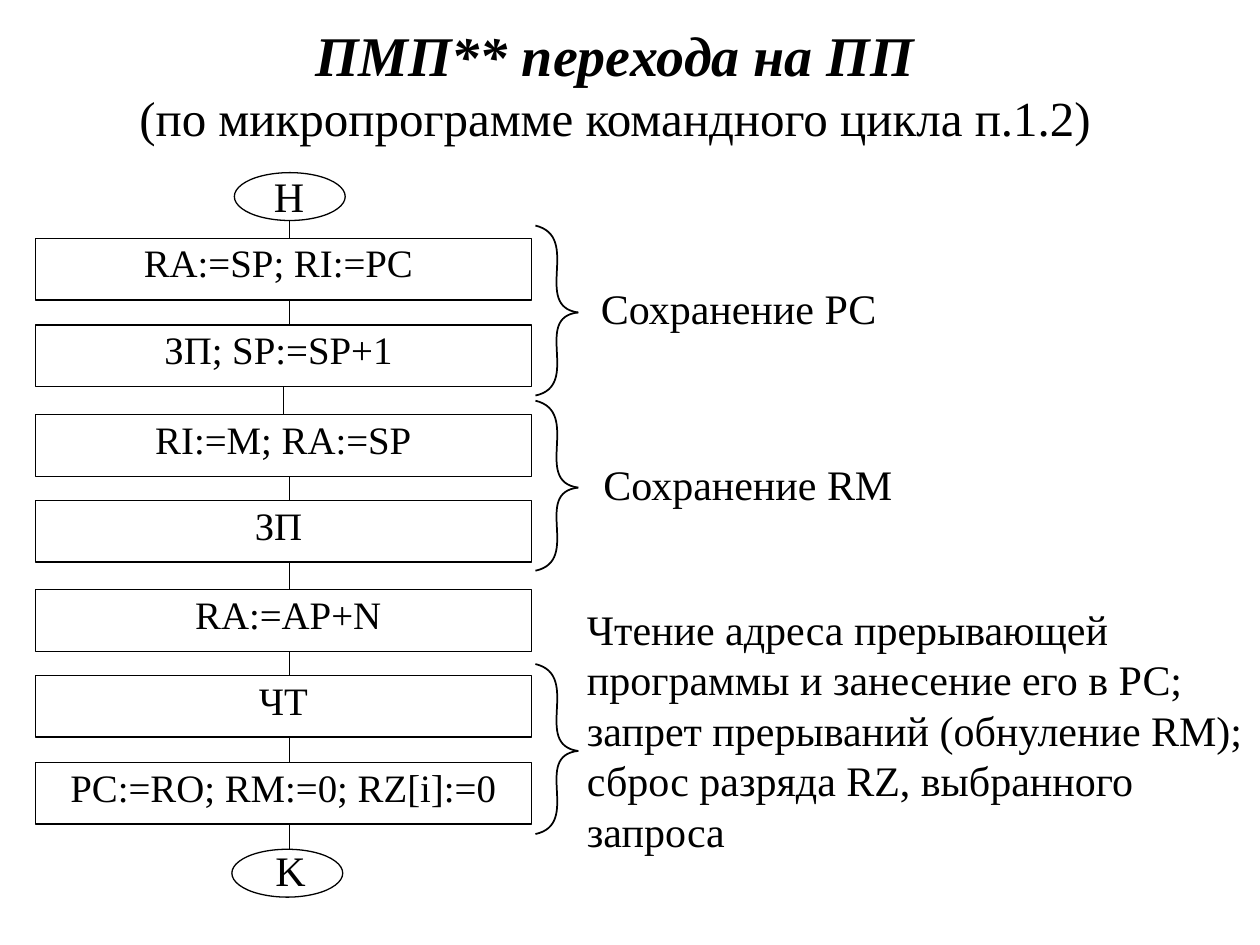
"""Build a flowchart slide of the microprogram that jumps to the interrupting program."""
import pptx
import pptx.dml.color
import pptx.enum.shapes
import pptx.enum.text
import pptx.oxml.ns
import pptx.util
from lxml import etree

Inches = pptx.util.Inches
Pt = pptx.util.Pt
ALIGN = pptx.enum.text.PP_ALIGN
ANCHOR = pptx.enum.text.MSO_ANCHOR
SHAPE = pptx.enum.shapes.MSO_SHAPE
qn = pptx.oxml.ns.qn

THEME = {
    "font": "Times New Roman",
    "ink": pptx.dml.color.RGBColor(0, 0, 0),
    "title": 32,
    "subtitle": 28,
    "body": 24,
    "step": 22.2,
    "outline": 0.75,
    "brace": 1,
}

HEADING_PLACE = (0, 0.09, 9.76, 1.14)
TITLE = "ПМП** перехода на ПП"
SUBTITLE = "(по микропрограмме командного цикла п.1.2)"
TERMINALS = [
    ("Н", (1.86, 1.37), (1.71, 1.3)),
    ("K", (1.84, 6.74), (1.72, 6.65)),
]
STEPS = [
    ("RA:=SP; RI:=PC ", 1.89),
    ("ЗП; SP:=SP+1 ", 2.58),
    ("RI:=M; RA:=SP", 3.29),
    ("ЗП ", 3.97),
    (" RA:=AP+N", 4.68),
    ("ЧТ", 5.36),
    ("PC:=RO; RM:=0; RZ[i]:=0", 6.05),
]
NOTES = [
    (2.48, (4.67, 2.19, 4.62, 0.5), ["Сохранение РС"]),
    (3.87, (4.69, 3.59, 4.57, 0.5), ["Сохранение RM"]),
    (5.96, (4.56, 4.74, 5.44, 2.16), [
        "Чтение адреса прерывающей программы и занесение его в РС;",
        "запрет прерываний (обнуление RM);",
        "сброс разряда RZ, выбранного запроса",
    ]),
]

STEP_LEFT, STEP_SIZE = 0.28, (3.94, 0.49)
OVAL_SIZE, OVAL_TEXT_SIZE = (0.88, 0.38), (1.17, 0.52)
LINK_X, CENTRED_LINK = 2.3, 2
BRACE_HALVES = [
    [(4.59, 0), (4.22, -0.05), (4.62, -0.6), (4.25, -0.69)],
    [(4.59, 0), (4.22, 0.04), (4.62, 0.58), (4.25, 0.66)],
]


def add_run(paragraph, text, size, bold=False, italic=False):
    run = paragraph.add_run()
    run.text = text
    run.font.name = THEME["font"]
    run.font.size = Pt(size)
    run.font.color.rgb = THEME["ink"]
    run.font.bold = bold
    run.font.italic = italic


def add_outline(part, width):
    part.line.color.rgb = THEME["ink"]
    part.line.width = Pt(width)


def make_hollow(part, width):
    part.shadow.inherit = False
    part.fill.background()
    add_outline(part, width)


def add_node(slide, kind, place):
    node = slide.shapes.add_shape(kind, *map(Inches, place))
    make_hollow(node, THEME["outline"])
    return node


def add_text(slide, place, lines, alignment=ALIGN.LEFT):
    frame = slide.shapes.add_textbox(*map(Inches, place)).text_frame
    frame.word_wrap = True
    for index, line in enumerate(lines):
        paragraph = frame.add_paragraph() if index else frame.paragraphs[0]
        paragraph.alignment = alignment
        add_run(paragraph, line, THEME["body"])


def add_step(slide, text, top):
    step = add_node(slide, SHAPE.RECTANGLE, (STEP_LEFT, top, *STEP_SIZE))
    frame = step.text_frame
    frame.word_wrap = True
    frame.vertical_anchor = ANCHOR.TOP
    paragraph = frame.paragraphs[0]
    paragraph.alignment = ALIGN.CENTER
    paragraph.line_spacing = 0.9
    add_run(paragraph, text, THEME["step"])
    return step


def add_link(slide, start_y, end_y):
    x = Inches(LINK_X)
    link = slide.shapes.add_connector(
        pptx.enum.shapes.MSO_CONNECTOR.STRAIGHT, x, Inches(start_y), x, Inches(end_y))
    add_outline(link, THEME["outline"])
    etree.SubElement(link._element.spPr, qn("a:effectLst"))
    return link


def add_brace(slide, middle):
    brace = slide.shapes.add_group_shape()
    for half in BRACE_HALVES:
        start, *controls = [(Inches(x), Inches(middle + y)) for x, y in half]
        builder = brace.shapes.build_freeform(*start)
        builder.add_line_segments(controls, close=False)
        arm = builder.convert_to_shape()
        make_hollow(arm, THEME["brace"])
        segments = list(arm._element.iter(qn("a:lnTo")))
        curve = etree.SubElement(segments[0].getparent(), qn("a:cubicBezTo"))
        for segment in segments:
            curve.append(segment[0])
            segment.getparent().remove(segment)


def add_heading(slide):
    frame = slide.shapes.add_textbox(*map(Inches, HEADING_PLACE)).text_frame
    frame.word_wrap = True
    frame.vertical_anchor = ANCHOR.MIDDLE
    paragraph = frame.paragraphs[0]
    paragraph.alignment = ALIGN.CENTER
    add_run(paragraph, TITLE, THEME["title"], bold=True, italic=True)
    paragraph.add_line_break()
    add_run(paragraph, SUBTITLE, THEME["subtitle"])


def add_flow(slide):
    for text, oval_corner, text_corner in TERMINALS:
        add_node(slide, SHAPE.OVAL, (*oval_corner, *OVAL_SIZE))
        add_text(slide, (*text_corner, *OVAL_TEXT_SIZE), [text], ALIGN.CENTER)
    steps = [add_step(slide, text, top) for text, top in STEPS]
    tops = [top for text, top in STEPS]
    start_top, end_top = [corner[1] for text, corner, text_corner in TERMINALS]
    starts = [start_top + OVAL_SIZE[1]] + [top + STEP_SIZE[1] for top in tops]
    links = [add_link(slide, *ends) for ends in zip(starts, tops + [end_top])]
    links[CENTRED_LINK].begin_connect(steps[CENTRED_LINK - 1], 2)
    links[CENTRED_LINK].end_connect(steps[CENTRED_LINK], 0)


def main():
    presentation = pptx.Presentation()
    presentation.slide_width = Inches(10)
    presentation.slide_height = Inches(7.5)
    slide = presentation.slides.add_slide(presentation.slide_layouts[6])
    add_heading(slide)
    add_flow(slide)
    for middle, place, lines in NOTES:
        add_brace(slide, middle)
        add_text(slide, place, lines)
    presentation.save("out.pptx")


if __name__ == "__main__":
    main()
